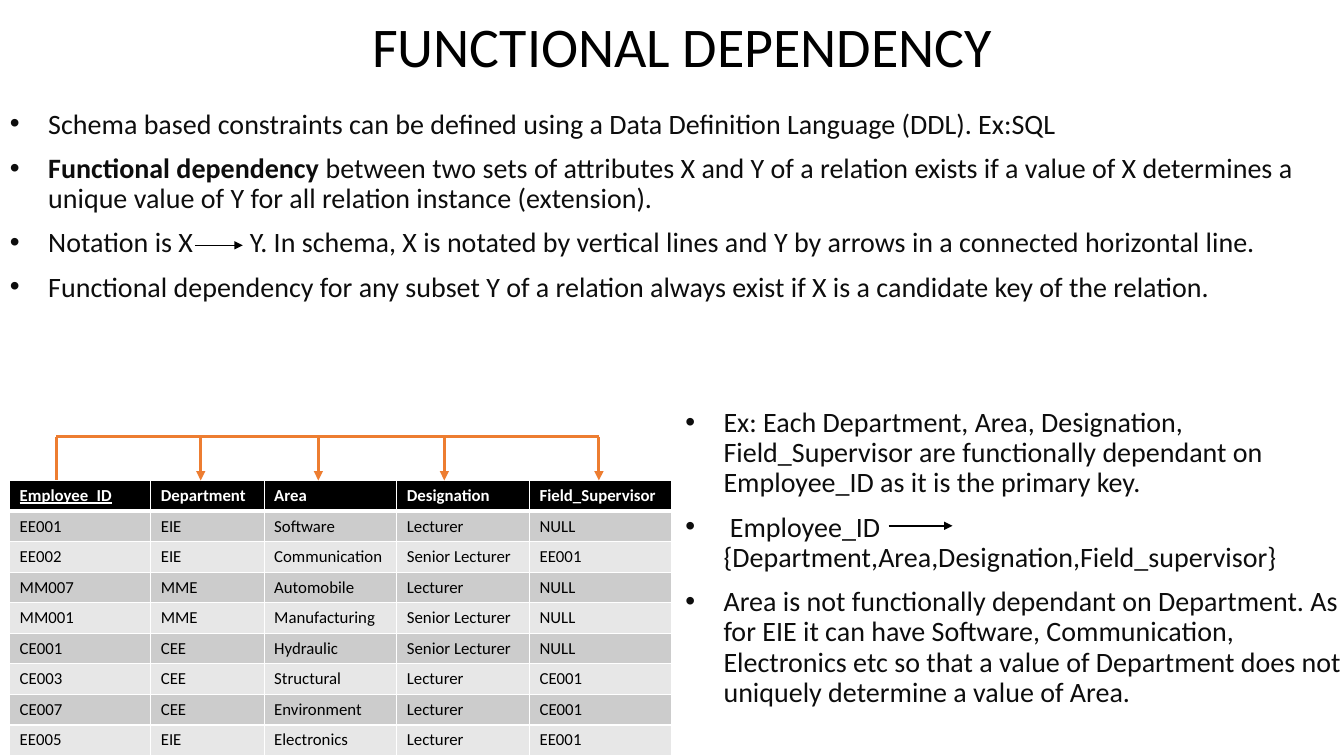
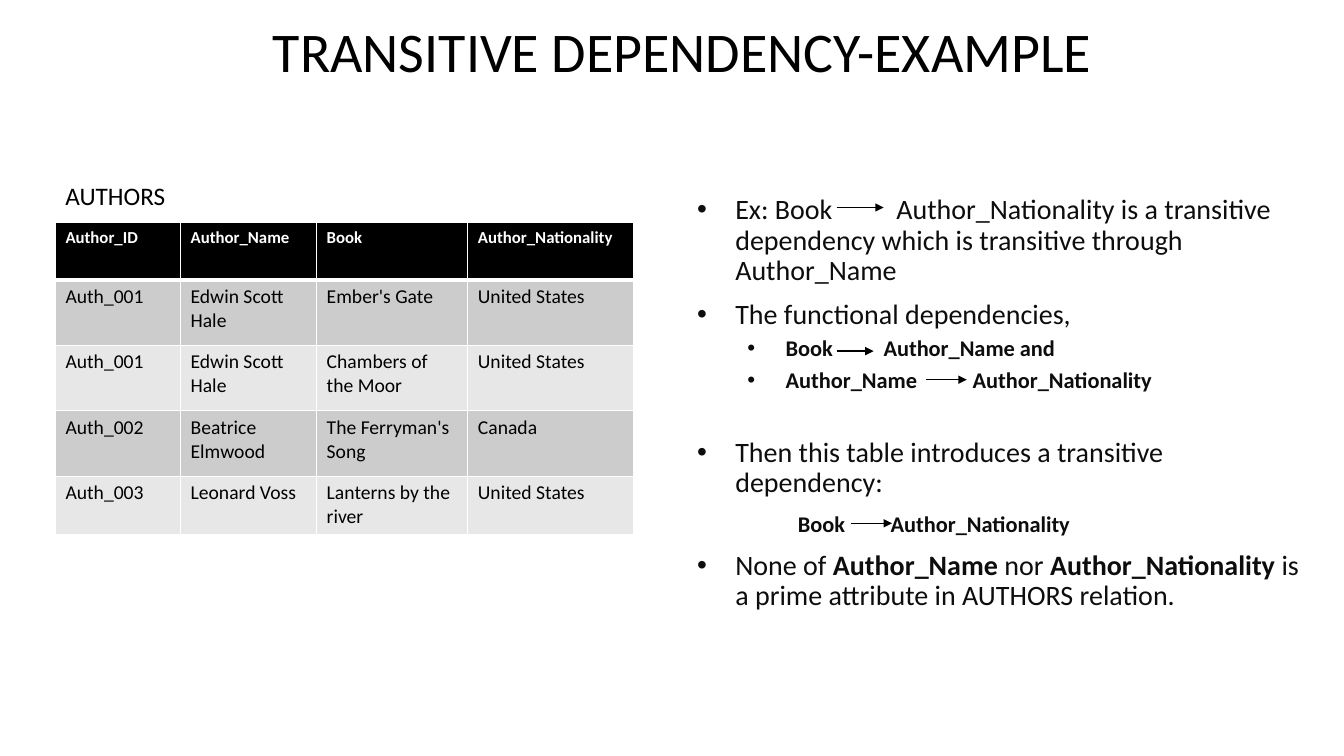
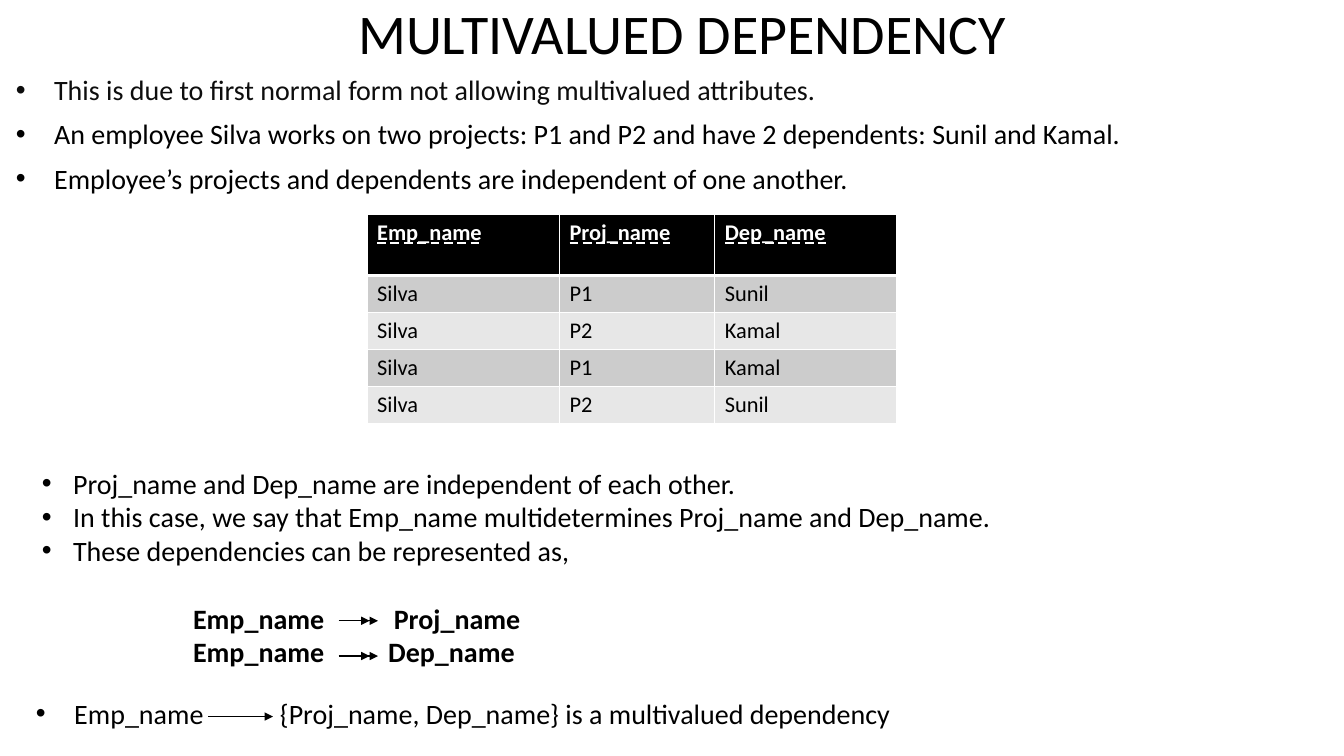
from itertools import accumulate

from lxml import etree
from pptx import Presentation
from pptx import util as u
from pptx.dml import color
from pptx.enum import shapes, text
from pptx.oxml import ns

# The slide is a grid of 160 columns by 90 rows of square cells.
CELL = u.Inches(7.5) / 90
FONT = "Calibri"
COLORS = {
    "black": "000000",
    "ink": "0D0D0D",
    "white": "FFFFFF",
    "dark_band": "CCCCCC",
    "light_band": "E7E7E7",
    "orange": "ED7D31",
}
BODY = {"size": 20, "color": "ink", "left": 0.38, "hang": 0.38,
        "line_spacing": 0.9, "space_before": u.Pt(10)}
SUB = BODY | {"size": 16, "bold": True, "left": 0.88, "space_before": u.Pt(5)}
CENTRED = {"size": 40, "line_spacing": 0.9, "alignment": text.PP_ALIGN.CENTER}
LIST = {"size": 20, "left": 0.31, "hang": 0.31}


def cells(*numbers):
    """Turn grid counts into lengths."""
    return [u.Emu(round(number * CELL)) for number in numbers]


def rgb(name):
    return color.RGBColor.from_string(COLORS[name])


def set_all(target, values):
    for name, value in values.items():
        setattr(target, name, value)


def add_xml(parent, tag, **attributes):
    return etree.SubElement(parent, ns.qn(tag), attributes)


def write(paragraph, pieces, style):
    """Pieces are text, (text, bold) pairs, or numbers: a space widened by so many points."""
    for name in ("line_spacing", "space_before", "alignment"):
        if name in style:
            setattr(paragraph, name, style[name])
    properties = paragraph._p.get_or_add_pPr()
    left, hang = style.get("left", 0), style.get("hang", 0)
    properties.set("marL", str(u.Inches(left)))
    properties.set("indent", str(-u.Inches(hang)))
    if hang:
        add_xml(properties, "a:buFont", typeface="Arial")
        add_xml(properties, "a:buChar", char="•")
    else:
        add_xml(properties, "a:buNone")
    for piece in [pieces] if isinstance(pieces, str) else pieces:
        bold = style.get("bold", False)
        run = paragraph.add_run()
        if isinstance(piece, tuple):
            piece, bold = piece
        if isinstance(piece, (int, float)):
            run._r.get_or_add_rPr().set("spc", str(round(piece * 100)))
            piece = " "
        run.text = piece
        set_all(run.font, {"name": FONT, "size": u.Pt(style["size"]), "bold": bold,
                           "underline": style.get("underline", False)})
        run.font.color.rgb = rgb(style.get("color", "black"))


def add_text(slide, place, paragraphs):
    """Paragraphs are (pieces, style) pairs."""
    frame = slide.shapes.add_textbox(*cells(*place)).text_frame
    frame.word_wrap = True
    for index, (pieces, style) in enumerate(paragraphs):
        paragraph = frame.add_paragraph() if index else frame.paragraphs[0]
        write(paragraph, pieces, style)


def add_slide(presentation, title, place):
    slide = presentation.slides.add_slide(presentation.slide_layouts[5])
    shape = slide.shapes.title
    set_all(shape, dict(zip(("left", "top", "width", "height"), cells(*place))))
    set_all(shape.text_frame, {"word_wrap": True, "auto_size": text.MSO_AUTO_SIZE.NONE,
                               "vertical_anchor": text.MSO_ANCHOR.BOTTOM})
    write(shape.text_frame.paragraphs[0], title, CENTRED)
    return slide


def add_line(slide, start, end, arrow=True, hue="black", width=1):
    line = slide.shapes.add_connector(shapes.MSO_CONNECTOR.STRAIGHT, *cells(*start, *end))
    line.line.color.rgb = rgb(hue)
    line.line.width = u.Pt(width)
    if arrow:
        add_xml(line.line._get_or_add_ln(), "a:tailEnd", type="triangle")
    add_xml(line._element.spPr, "a:effectLst")


def add_arrow(slide, left, right, row, width=1):
    add_line(slide, (left, row), (right, row), width=width)


def add_borders(cell, row):
    """White rules, heavier under the header."""
    heavy = {0: "a:lnB", 1: "a:lnT"}.get(row)
    properties = cell._tc.get_or_add_tcPr()
    for tag in ("a:lnL", "a:lnR", "a:lnT", "a:lnB"):
        border = add_xml(properties, tag, w=str(u.Pt(3 if tag == heavy else 1)))
        add_xml(add_xml(border, "a:solidFill"), "a:srgbClr", val=COLORS["white"])


def add_table(slide, corner, widths, heights, rows, header_size, size, underlined):
    """Underlined maps header columns to their underline."""
    frame = slide.shapes.add_table(len(rows), len(widths),
                                   *cells(*corner, sum(widths), sum(heights)))
    table = frame.table
    set_all(table, {"first_row": False, "horz_banding": False})
    for column, width in zip(table.columns, cells(*widths)):
        column.width = width
    for row, height in zip(table.rows, cells(*heights)):
        row.height = height
    for r, row in enumerate(rows):
        for c, value in enumerate(row):
            cell = table.cell(r, c)
            add_borders(cell, r)
            cell.fill.solid()
            if r == 0:
                fill = "black"
                style = {"size": header_size, "bold": True, "color": "white",
                         "underline": underlined.get(c, False)}
            else:
                fill = "dark_band" if r % 2 else "light_band"
                style = {"size": size}
            cell.fill.fore_color.rgb = rgb(fill)
            write(cell.text_frame.paragraphs[0], value, style)


def functional_dependency(presentation):
    slide = add_slide(presentation, "FUNCTIONAL DEPENDENCY", (15.2, -2, 132, 12.1))
    add_text(slide, (0, 12.5, 160, 35), [(pieces, BODY) for pieces in (
        "Schema based constraints can be defined using a Data Definition Language (DDL). Ex:SQL",
        [("Functional dependency ", True),
         "between two sets of attributes X and Y of a relation exists if a value of X "
         "determines a unique value of Y for all relation instance (extension)."],
        ["Notation is X", 36, "Y. In schema, X is notated by vertical lines and Y by arrows "
         "in a connected horizontal line."],
        "Functional dependency for any subset Y of a relation always exist if X is a "
        "candidate key of the relation.",
    )])
    add_arrow(slide, 23.2, 28.9, 29.2)
    employees = [
        ("Employee_ID", "Department", "Area", "Designation", "Field_Supervisor"),
        ("EE001", "EIE", "Software", "Lecturer", "NULL"),
        ("EE002", "EIE", "Communication", "Senior Lecturer", "EE001"),
        ("MM007", "MME", "Automobile", "Lecturer", "NULL"),
        ("MM001", "MME", "Manufacturing", "Senior Lecturer", "NULL"),
        ("CE001", "CEE", "Hydraulic", "Senior Lecturer", "NULL"),
        ("CE003", "CEE", "Structural", "Lecturer", "CE001"),
        ("CE007", "CEE", "Environment", "Lecturer", "CE001"),
        ("EE005", "EIE", "Electronics", "Lecturer", "EE001"),
    ]
    table_top, bar = 57.2, 52
    add_table(slide, (1.15, table_top), (16.8, 13.5, 15.8, 15.8, 16.9),
              [3.64] * len(employees), employees, 12, 12, {0: True})
    add_text(slide, (80.4, 48, 81.2, 42), [(pieces, BODY) for pieces in (
        "Ex: Each Department, Area, Designation, Field_Supervisor are functionally "
        "dependant on Employee_ID as it is the primary key.",
        " Employee_ID {Department,Area,Designation,Field_supervisor}",
        "Area is not functionally dependant on Department. As for EIE it can have Software, "
        "Communication, Electronics etc so that a value of Department does not uniquely "
        "determine a value of Area.",
    )])
    add_arrow(slide, 105.8, 113.4, 62.6)
    stems = (6.7, 23.9, 37.9, 52.9, 71.3)
    bracket = {"hue": "orange", "width": 2.25}
    add_line(slide, (stems[0], bar), (stems[-1], bar), arrow=False, **bracket)
    for stem in stems:
        add_line(slide, (stem, bar), (stem, table_top), arrow=stem != stems[0], **bracket)


def transitive_dependency(presentation):
    slide = add_slide(presentation, "TRANSITIVE DEPENDENCY-EXAMPLE", (0.7, -0.1, 161, 10.8))
    authors = [
        ("Author_ID", "Author_Name", "Book", "Author_Nationality"),
        ("Auth_001", "Edwin Scott Hale", "Ember's Gate", "United States"),
        ("Auth_001", "Edwin Scott Hale", "Chambers of the Moor", "United States"),
        ("Auth_002", "Beatrice Elmwood", "The Ferryman's Song", "Canada"),
        ("Auth_003", "Leonard Voss", "Lanterns by the river", "United States"),
    ]
    add_table(slide, (6.6, 26.5), (14.9, 16.2, 18, 19.7), (6.8, 7.8, 7.8, 7.8, 6.9),
              authors, 12, 14, {})
    add_text(slide, (6.6, 20.9, 18.4, 4.8), [("AUTHORS", {"size": 18})])
    add_text(slide, (81.8, 22.7, 74.3, 61.7), [
        (["Ex: Book", 41, "Author_Nationality is a transitive dependency which is "
          "transitive through Author_Name"], BODY),
        ("The functional dependencies,", BODY),
        (["Book", 32.5, "Author_Name and"], SUB),
        (["Author_Name", 36, "Author_Nationality"], SUB),
        ("Then this table introduces a transitive dependency:",
         BODY | {"space_before": u.Pt(32.6)}),
        (["Book", 29, "Author_Nationality"],
         SUB | {"left": 1, "hang": 0, "space_before": u.Pt(10)}),
        (["None of ", ("Author_Name", True), " nor ", ("Author_Nationality ", True),
          "is a prime attribute in AUTHORS relation."], BODY),
    ])
    for arrow in ((99.6, 105.2, 24.7), (99.6, 104, 41.8),
                  (110.2, 115.1, 45.2), (101.3, 106.2, 62.3)):
        add_arrow(slide, *arrow)


def multivalued_dependency(presentation):
    slide = add_slide(presentation, "MULTIVALUED DEPENDENCY", (0.7, -3, 161, 11.5))
    plain = BODY | {"color": "black"}
    add_text(slide, (0.7, 8.5, 159, 17), [
        ("This is due to first normal form not allowing multivalued attributes.", BODY),
        ("An employee Silva works on two projects: P1 and P2 and have 2 dependents: "
         "Sunil and Kamal.", plain),
        ("Employee’s projects and dependents are independent of one another.", plain),
    ])
    projects = [
        ("Emp_name", "Proj_name", "Dep_name"),
        ("Silva", "P1", "Sunil"),
        ("Silva", "P2", "Kamal"),
        ("Silva", "P1", "Kamal"),
        ("Silva", "P2", "Sunil"),
    ]
    dashed = dict.fromkeys(range(3), text.MSO_UNDERLINE.DASH_LINE)
    add_table(slide, (43.7, 25.5), (22.9, 18.5, 21.6), [7.3] + [4.4] * 4,
              projects, 16, 16, dashed)
    formula = {"size": 20, "bold": True, "left": 1.5}
    add_text(slide, (3.8, 54.9, 149.2, 26), [
        ("Proj_name and Dep_name are independent of each other.", LIST),
        ("In this case, we say that Emp_name multidetermines Proj_name and Dep_name.", LIST),
        ("These dependencies can be represented as,", LIST),
        (["Emp_name", 45, "Proj_name"], formula | {"space_before": u.Pt(24.4)}),
        (["Emp_name", 41, "Dep_name"], formula),
    ])
    for row in accumulate((73.9, 4.2)):
        for left in (40.3, 41.3):
            add_arrow(slide, left, left + 3.7, row)
    add_text(slide, (3.1, 82.3, 156.8, 5), [
        (["Emp_name", 50, "{Proj_name, Dep_name} is a multivalued dependency"],
         LIST | {"left": 0.38, "hang": 0.38}),
    ])
    add_arrow(slide, 24.8, 32.5, 85.3, width=0.5)


def main():
    presentation = Presentation()
    width, height = cells(160, 90)
    set_all(presentation, {"slide_width": width, "slide_height": height})
    functional_dependency(presentation)
    transitive_dependency(presentation)
    multivalued_dependency(presentation)
    presentation.save("out.pptx")


if __name__ == "__main__":
    main()
